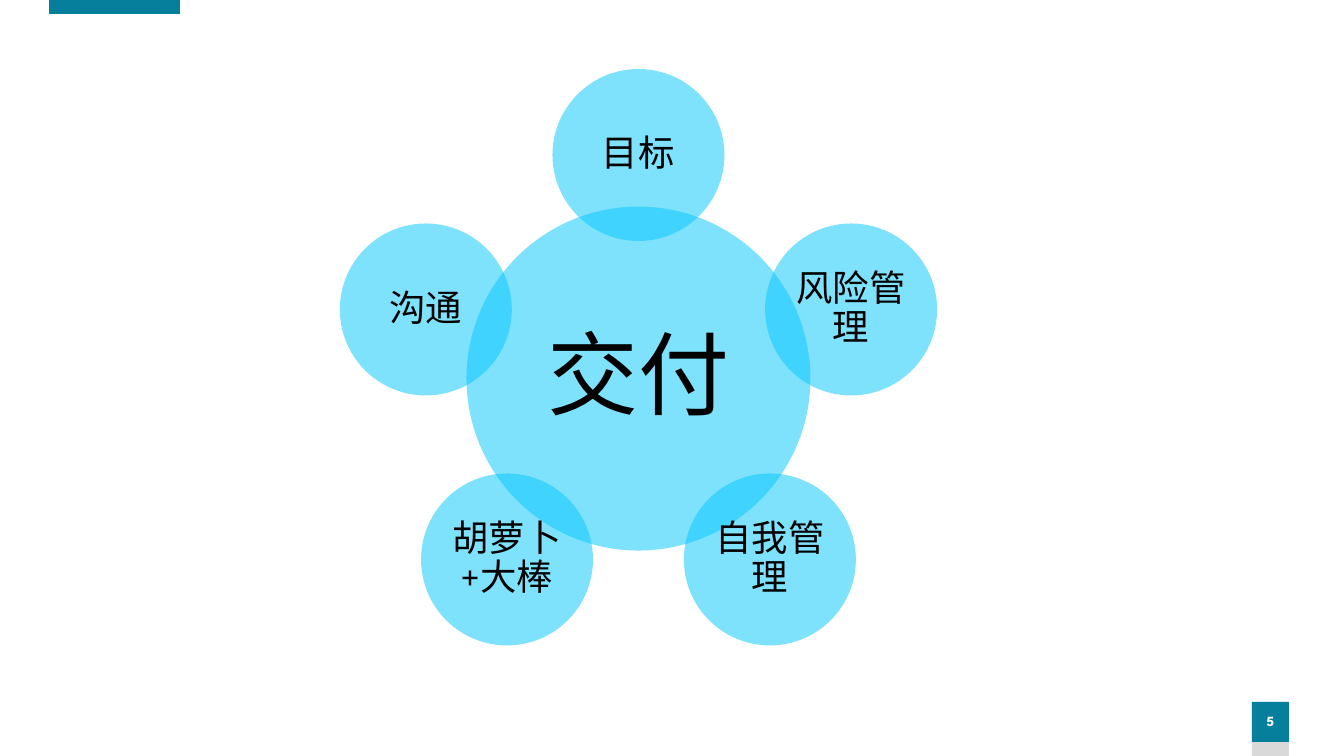
from math import cos, radians, sin

from lxml import etree
from pptx import Presentation
from pptx.dml.color import RGBColor
from pptx.enum.lang import MSO_LANGUAGE_ID
from pptx.enum.shapes import MSO_SHAPE
from pptx.enum.text import MSO_ANCHOR, PP_ALIGN
from pptx.oxml.ns import qn
from pptx.util import Pt

SLIDE_W, SLIDE_H = 1344, 756
EMU_PER_PX = 12192000 / SLIDE_W
FONT = "League Spartan"
COLORS = {
    "teal": "067F9C",
    "gray": "D9D9D9",
    "cyan": "01C6FD",
    "black": "000000",
    "white": "FFFFFF",
}
HUB = "交付"
TOPICS = ["目标", "风险管理", "自我管理", "胡萝卜+大棒", "沟通"]


def px(n):
    return round(n * EMU_PER_PX)


def add_filled(slide, kind, x, y, w, h, color, alpha=None):
    sp = slide.shapes.add_shape(kind, px(x), px(y), px(w), px(h))
    sp.shadow.inherit = False
    sp.line.fill.background()
    sp.fill.solid()
    sp.fill.fore_color.rgb = RGBColor.from_string(COLORS[color])
    if alpha is not None:
        clr = sp._element.spPr.find(qn("a:solidFill"))[0]
        etree.SubElement(clr, qn("a:alpha")).set("val", str(alpha * 1000))
    return sp


def set_text(sp, text, size, color, bold=False, inset_x=0, inset_y=0):
    tf = sp.text_frame
    tf.word_wrap = True
    tf.vertical_anchor = MSO_ANCHOR.MIDDLE
    tf.margin_left = tf.margin_right = px(inset_x)
    tf.margin_top = tf.margin_bottom = px(inset_y)
    p = tf.paragraphs[0]
    p.alignment = PP_ALIGN.CENTER
    p.line_spacing = 0.9
    r = p.add_run()
    r.text = text
    r.font.name = FONT
    r.font.size = Pt(size)
    r.font.bold = bold
    r.font.color.rgb = RGBColor.from_string(COLORS[color])
    r.font.language_id = MSO_LANGUAGE_ID.SIMPLIFIED_CHINESE
    etree.SubElement(r.font._element, qn("a:ea")).set("typeface", FONT)


def add_circle(slide, cx, cy, d, text, size, inset):
    sp = add_filled(slide, MSO_SHAPE.OVAL, cx - d / 2, cy - d / 2, d, d, "cyan", alpha=50)
    set_text(sp, text, size, "black", inset_x=inset, inset_y=inset)


def add_radial_venn(slide, x, y, w, h):
    hub_d = 344
    topic_d = hub_d / 2
    cx, cy = x + w / 2, y + hub_d * 0.9
    orbit = cy - y - topic_d / 2
    add_circle(slide, cx, cy, hub_d, HUB, 65, 9)
    for i, topic in enumerate(TOPICS):
        angle = radians(360 / len(TOPICS) * i)
        add_circle(slide, cx + orbit * sin(angle), cy - orbit * cos(angle), topic_d, topic, 26, 4)


def add_page_number(slide, x, y, w, h, number):
    add_filled(slide, MSO_SHAPE.RECTANGLE, x, y, w, h, "gray")
    sp = add_filled(slide, MSO_SHAPE.RECTANGLE, x, y, w, 40, "teal")
    set_text(sp, number, 10, "white", bold=True, inset_y=5)


def main():
    prs = Presentation()
    prs.slide_width, prs.slide_height = px(SLIDE_W), px(SLIDE_H)
    slide = prs.slides.add_slide(prs.slide_layouts[6])
    add_page_number(slide, 1252, 702, 37, 54, "5")
    add_filled(slide, MSO_SHAPE.RECTANGLE, 49, 0, 131, 14, "teal")
    add_radial_venn(slide, 340, 69, 597, 576)
    prs.save("out.pptx")


if __name__ == "__main__":
    main()
